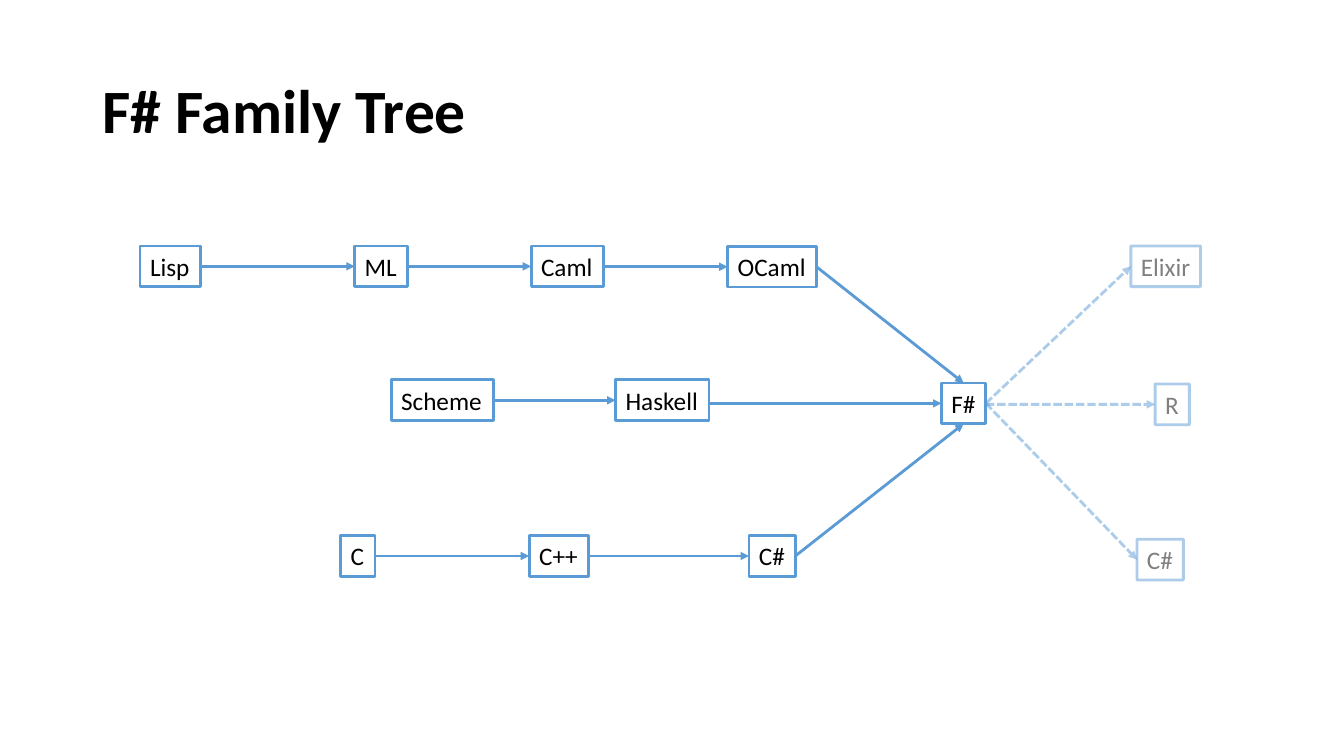
"""Build the F# family tree slide."""
from lxml import etree
from pptx import Presentation
from pptx.dml.color import RGBColor
from pptx.enum.dml import MSO_LINE
from pptx.enum.shapes import MSO_CONNECTOR, MSO_SHAPE
from pptx.enum.text import MSO_ANCHOR, MSO_AUTO_SIZE, PP_ALIGN
from pptx.oxml.ns import qn
from pptx.util import Pt

TITLE = "F# Family Tree"
BOXES = {
    "lisp": ("Lisp", 100.1, 175.7, 43.2),
    "ml": ("ML", 253.4, 175.7, 37.7),
    "caml": ("Caml", 379.4, 175.7, 51.8),
    "ocaml": ("OCaml", 519.8, 176, 63.4),
    "scheme": ("Scheme", 279.4, 271.4, 73),
    "haskell": ("Haskell", 439.7, 271.4, 66.7),
    "c": ("C", 243.4, 382.6, 24.5),
    "cpp": ("C++", 378, 382.6, 42.5),
    "csharp": ("C#", 535, 382.6, 33.1),
    "fsharp": ("F#", 672.5, 273.6, 31.7),
}
INFLUENCED = {
    "elixir": ("Elixir", 807.8, 175.7, 49.7),
    "r": ("R", 825.1, 274.3, 24.5),
    "later_csharp": ("C#", 812.2, 385.2, 33.1),
}
TOP, LEFT, BOTTOM, RIGHT = range(4)
ARROWS = [
    ("lisp", "ml", LEFT), ("ml", "caml", LEFT), ("caml", "ocaml", LEFT),
    ("ocaml", "fsharp", TOP),
    ("scheme", "haskell", LEFT), ("haskell", "fsharp", LEFT),
    ("c", "cpp", LEFT), ("cpp", "csharp", LEFT), ("csharp", "fsharp", BOTTOM),
    ("fsharp", "r", LEFT), ("fsharp", "later_csharp", LEFT), ("fsharp", "elixir", LEFT),
]

FONT = "Calibri"
BLACK = RGBColor(0, 0, 0)
GRAY = RGBColor(0x80, 0x80, 0x80)
BLUE = RGBColor(0x5B, 0x9B, 0xD5)
RECTANGLE = MSO_SHAPE.RECTANGLE
STRAIGHT = MSO_CONNECTOR.STRAIGHT
DASH = MSO_LINE.SQUARE_DOT
BOX_HEIGHT = 29.08
LEVEL_TOLERANCE = Pt(5)


def add_text(paragraph, text, size, color, bold=False):
    run = paragraph.add_run()
    run.text = text
    run.font.name = FONT
    run.font.size = Pt(size)
    run.font.bold = bold
    run.font.color.rgb = color


def style_line(line, faded):
    line.color.rgb = BLUE
    line.width = Pt(2)
    if faded:
        color = line._get_or_add_ln().find(".//" + qn("a:srgbClr"))
        etree.SubElement(color, qn("a:alpha"), val="50000")


def add_title(slide):
    box = slide.shapes.add_textbox(Pt(66), Pt(28.75), Pt(828), Pt(104.4))
    frame = box.text_frame
    frame.word_wrap = True
    frame.vertical_anchor = MSO_ANCHOR.MIDDLE
    paragraph = frame.paragraphs[0]
    paragraph.line_spacing = 0.9
    add_text(paragraph, TITLE, 44, BLACK, bold=True)


def add_language(slide, name, left, top, width, faded):
    shape = slide.shapes.add_shape(RECTANGLE, Pt(left), Pt(top), Pt(width), Pt(BOX_HEIGHT))
    shape.shadow.inherit = False
    shape.fill.background()
    style_line(shape.line, faded)
    frame = shape.text_frame
    frame.word_wrap = False
    frame.auto_size = MSO_AUTO_SIZE.SHAPE_TO_FIT_TEXT
    frame.vertical_anchor = MSO_ANCHOR.TOP
    paragraph = frame.paragraphs[0]
    paragraph.alignment = PP_ALIGN.LEFT
    add_text(paragraph, name, 18, GRAY if faded else BLACK)
    return shape


def add_arrow(slide, source, target, side, faded):
    start_x = source.left + source.width
    start_y = source.top + source.height // 2
    target_y = target.top + target.height // 2
    offset = abs(target_y - start_y)
    nearly_level = side == LEFT and 0 < offset < LEVEL_TOLERANCE
    if nearly_level:
        start_y = target_y
    arrow = slide.shapes.add_connector(STRAIGHT, start_x, start_y, target.left, target_y)
    if not nearly_level:
        arrow.begin_connect(source, RIGHT)
    arrow.end_connect(target, side)
    style_line(arrow.line, faded)
    if faded:
        arrow.line.dash_style = DASH
    etree.SubElement(arrow.line._get_or_add_ln(), qn("a:tailEnd"), type="triangle")
    etree.SubElement(arrow._element.spPr, qn("a:effectLst"))


def main():
    presentation = Presentation()
    presentation.slide_width = Pt(960)
    presentation.slide_height = Pt(540)
    slide = presentation.slides.add_slide(presentation.slide_layouts[6])
    add_title(slide)
    shapes = {}
    for languages, faded in ((BOXES, False), (INFLUENCED, True)):
        for key, box in languages.items():
            shapes[key] = add_language(slide, *box, faded)
    for source, target, side in ARROWS:
        add_arrow(slide, shapes[source], shapes[target], side, target in INFLUENCED)
    presentation.save("out.pptx")


if __name__ == "__main__":
    main()
